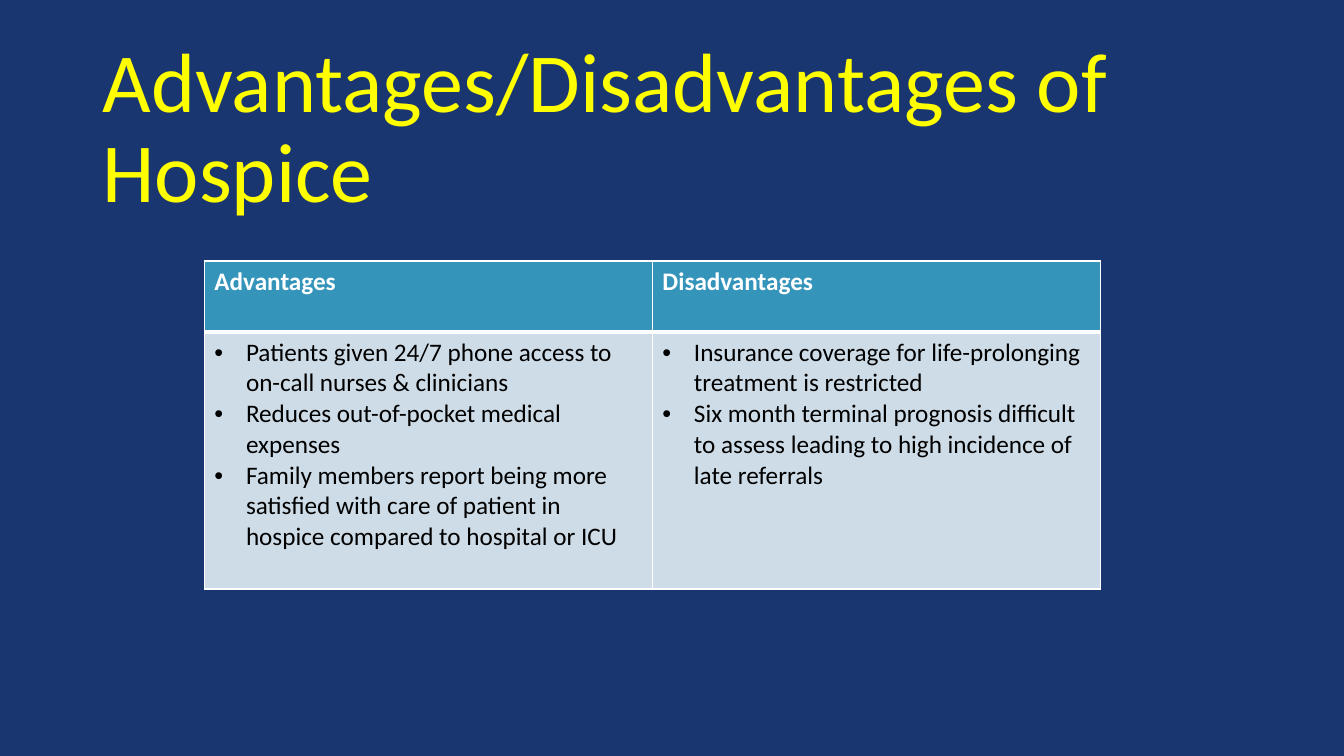
from dataclasses import dataclass

from lxml import etree
from pptx import Presentation
from pptx.dml.color import RGBColor
from pptx.enum.text import MSO_ANCHOR, MSO_AUTO_SIZE, PP_ALIGN
from pptx.oxml.ns import qn
from pptx.slide import Slide
from pptx.table import _Cell
from pptx.text.text import _Paragraph
from pptx.util import Pt

LEFT = PP_ALIGN.LEFT
BOTTOM = MSO_ANCHOR.BOTTOM
NO_FIT = MSO_AUTO_SIZE.NONE


@dataclass(frozen=True)
class Theme:
    font: str = "Calibri"
    back: str = "1A3670"
    title: str = "FFFF00"
    head: str = "3494BA"
    body: str = "CEDCE7"
    white: str = "FFFFFF"
    black: str = "000000"
    big: float = 60
    small: float = 18
    thin: float = 1
    thick: float = 3
    indent: float = 22.5


@dataclass(frozen=True)
class Column:
    head: str
    items: tuple[str, ...]


THEME = Theme()
COLUMNS = (
    Column("Advantages", (
        "Patients given 24/7 phone access to on-call nurses & clinicians",
        "Reduces out-of-pocket medical expenses",
        "Family members report being more satisfied with care of patient in "
        "hospice compared to hospital or ICU",
    )),
    Column("Disadvantages", (
        "Insurance coverage for life-prolonging treatment is restricted",
        "Six month terminal prognosis difficult to assess leading to high "
        "incidence of late referrals",
    )),
)
ROWS = (50.7, 183.6)
WIDTH = 320


def style(para: _Paragraph, size: float, color: str, bold: bool = False) -> None:
    para.alignment = LEFT
    font = para.font
    font.name, font.size, font.bold = THEME.font, Pt(size), bold
    font.color.rgb = RGBColor.from_string(color)


def bullet(para: _Paragraph) -> None:
    props = para._p.get_or_add_pPr()
    props.set("marL", str(Pt(THEME.indent)))
    props.set("indent", str(-Pt(THEME.indent)))
    # Bullet marks come before the default run properties
    mark = etree.Element(qn("a:buChar"), char="•")
    face = etree.Element(qn("a:buFont"), typeface="Arial")
    for node in (mark, face):
        props.insert(0, node)


def border(cell: _Cell, top: float, bottom: float) -> None:
    props = cell._tc.get_or_add_tcPr()
    sides = {"L": THEME.thin, "R": THEME.thin, "T": top, "B": bottom}
    for place, (side, width) in enumerate(sides.items()):
        line = etree.Element(qn(f"a:ln{side}"), w=str(Pt(width)))
        fill = etree.SubElement(line, qn("a:solidFill"))
        etree.SubElement(fill, qn("a:srgbClr"), val=THEME.white)
        props.insert(place, line)


def paint(cell: _Cell, color: str) -> None:
    cell.fill.solid()
    cell.fill.fore_color.rgb = RGBColor.from_string(color)


def add_title(slide: Slide, text: str) -> None:
    title = slide.shapes.title
    title.left, title.top = Pt(66), Pt(22.5)
    title.width, title.height = Pt(828), Pt(139)
    frame = title.text_frame
    frame.text = text
    frame.auto_size = NO_FIT
    frame.vertical_anchor = BOTTOM
    para = frame.paragraphs[0]
    para.line_spacing = 0.9
    style(para, THEME.big, THEME.title)


def add_grid(slide: Slide) -> None:
    count = len(COLUMNS)
    table = slide.shapes.add_table(
        len(ROWS), count, Pt(146), Pt(186.5), Pt(WIDTH * count), Pt(sum(ROWS))
    ).table
    for row, height in zip(table.rows, ROWS):
        row.height = Pt(height)
    for index, column in enumerate(COLUMNS):
        # Heading cell
        head = table.cell(0, index)
        head.text = column.head
        style(head.text_frame.paragraphs[0], THEME.small, THEME.white, True)
        paint(head, THEME.head)
        border(head, THEME.thin, THEME.thick)

        # Bulleted cell
        body = table.cell(1, index)
        body.text = "\n".join(column.items)
        for para in body.text_frame.paragraphs:
            style(para, THEME.small, THEME.black)
            bullet(para)
        paint(body, THEME.body)
        border(body, THEME.thick, THEME.thin)


def main() -> None:
    deck = Presentation()
    deck.slide_width, deck.slide_height = Pt(960), Pt(540)
    slide = deck.slides.add_slide(deck.slide_layouts[5])

    # Background
    fill = slide.background.fill
    fill.solid()
    fill.fore_color.rgb = RGBColor.from_string(THEME.back)

    # Content
    add_title(slide, "Advantages/Disadvantages of Hospice")
    add_grid(slide)
    deck.save("out.pptx")


if __name__ == "__main__":
    main()
